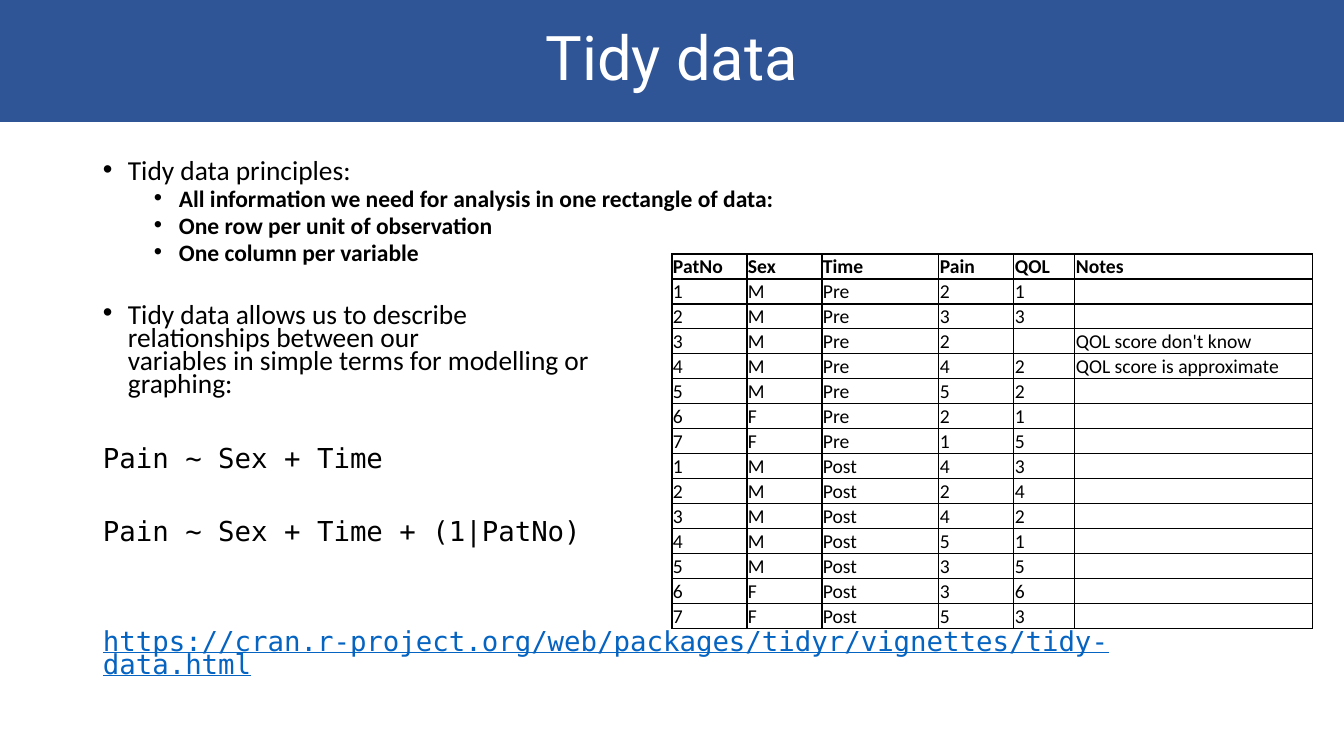
import pptx
import pptx.util
import pptx.dml.color
import pptx.enum.text
import pptx.oxml.ns
from lxml import etree

THEME = {
    "band": "2F5597", "white": "FFFFFF", "ink": "000000", "link": "0563C1",
    "head": 44, "body": 19.6, "sub": 16.8, "cell": 14,
    "sans": "Calibri", "mono": "DejaVu Sans Mono", "title": "Roboto",
}
SCALE = 914400 / 100.8  # EMU in one px
qn = pptx.oxml.ns.qn


def px(*sizes):
    return [pptx.util.Emu(round(n * SCALE)) for n in sizes]


def write(para, text, size="body", font="sans", color="ink", bold=False,
          line=None, under=None, before=0, indent=None, align="LEFT"):
    for i, part in enumerate(text.split("\n")):
        if i:
            para.add_line_break()
        run = para.add_run()
        run.text = part
        run.font.size = pptx.util.Pt(THEME[size])
        run.font.name = THEME[font]
        run.font.bold = bold
        run.font.underline = under
        run.font.color.rgb = pptx.dml.color.RGBColor.from_string(THEME[color])
    para.alignment = getattr(pptx.enum.text.PP_ALIGN, align)
    para.space_before = pptx.util.Pt(before)
    if line:
        para.line_spacing = line
    if indent:
        left, hang = px(indent, 25)
        props = para._p.get_or_add_pPr()
        props.set("marL", str(left))
        props.set("indent", str(-hang))
        etree.SubElement(props, qn("a:buFont"), typeface="Arial")
        etree.SubElement(props, qn("a:buChar"), char="•")


deck = pptx.Presentation()
deck.slide_width, deck.slide_height = px(1344, 756)
slide = deck.slides.add_slide(deck.slide_layouts[5])

# Title band
title = slide.shapes.title
title.left, title.top, title.width, title.height = px(0, 0, 1344, 122)
title.fill.solid()
title.fill.fore_color.rgb = pptx.dml.color.RGBColor.from_string(THEME["band"])
title.text_frame.vertical_anchor = pptx.enum.text.MSO_ANCHOR.MIDDLE
write(title.text_frame.paragraphs[0], "Tidy data", size="head", font="title",
      color="white", line=0.9, align="CENTER")

# Principles, models and source address
top = {"before": 10, "indent": 25}
sub = {"size": "sub", "bold": True, "before": 5, "indent": 76}
notes = [
    ("Tidy data principles:", top),
    ("All information we need for analysis in one rectangle of data:", sub),
    ("One row per unit of observation", sub),
    ("One column per variable", sub),
    ("Tidy data allows us to describe\nrelationships between our \n"
     "variables in simple terms for modelling or \ngraphing:",
     {"before": 29, "indent": 25}),
    ("Pain ~ Sex + Time", {"font": "mono", "before": 37}),
    ("Pain ~ Sex + Time + (1|PatNo)", {"font": "mono", "before": 36}),
    ("https://cran.r-project.org/web/packages/tidyr/vignettes/tidy-data.html",
     {"font": "mono", "color": "link", "under": True, "before": 62}),
]
frame = slide.shapes.add_textbox(*px(93, 157, 1159, 571)).text_frame
frame.word_wrap = True
for i, (text, form) in enumerate(notes):
    para = frame.add_paragraph() if i else frame.paragraphs[0]
    write(para, text, line=0.7, **form)

# Patient data: one row per patient and time
sexes = "MMMMMFF"
scores = {
    "Pre": [(2, 1), (3, 3), (2, ""), (4, 2), (5, 2), (2, 1), (1, 5)],
    "Post": [(4, 3), (2, 4), (4, 2), (5, 1), (3, 5), (3, 6), (5, 3)],
}
remarks = {("Pre", 3): "QOL score don't know",
           ("Pre", 4): "QOL score is approximate"}
rows = [("PatNo", "Sex", "Time", "Pain", "QOL", "Notes")]
for time, pairs in scores.items():
    for num, (sex, (pain, qol)) in enumerate(zip(sexes, pairs), 1):
        rows.append((num, sex, time, pain, qol, remarks.get((time, num), "")))

# Table grid
widths = [75, 75, 117, 75, 61, 238]
pitch = 25
grid = slide.shapes.add_table(
    len(rows), len(widths),
    *px(672, 254, sum(widths), pitch * len(rows))).table
grid.first_row = grid.horz_banding = False
for col, width in zip(grid.columns, px(*widths)):
    col.width = width
for r, row in enumerate(rows):
    grid.rows[r].height = px(pitch)[0]
    for c, value in enumerate(row):
        cell = grid.cell(r, c)
        cell.margin_left, cell.margin_top, cell.margin_right, \
            cell.margin_bottom = px(1, 1, 1, 0)
        cell.vertical_anchor = pptx.enum.text.MSO_ANCHOR.BOTTOM
        para = cell.text_frame.paragraphs[0]
        if value != "":
            write(para, str(value), size="cell", bold=r == 0)
        else:
            etree.SubElement(para._p, qn("a:endParaRPr"),
                             sz=str(THEME["cell"] * 100))
        # Borders come before the fill in the cell properties
        props = cell._tc.get_or_add_tcPr()
        for side in ("lnL", "lnR", "lnT", "lnB"):
            edge = etree.SubElement(props, qn("a:" + side), w="12700")
            paint = etree.SubElement(edge, qn("a:solidFill"))
            etree.SubElement(paint, qn("a:srgbClr"), val=THEME["ink"])
        cell.fill.background()

deck.save("out.pptx")
